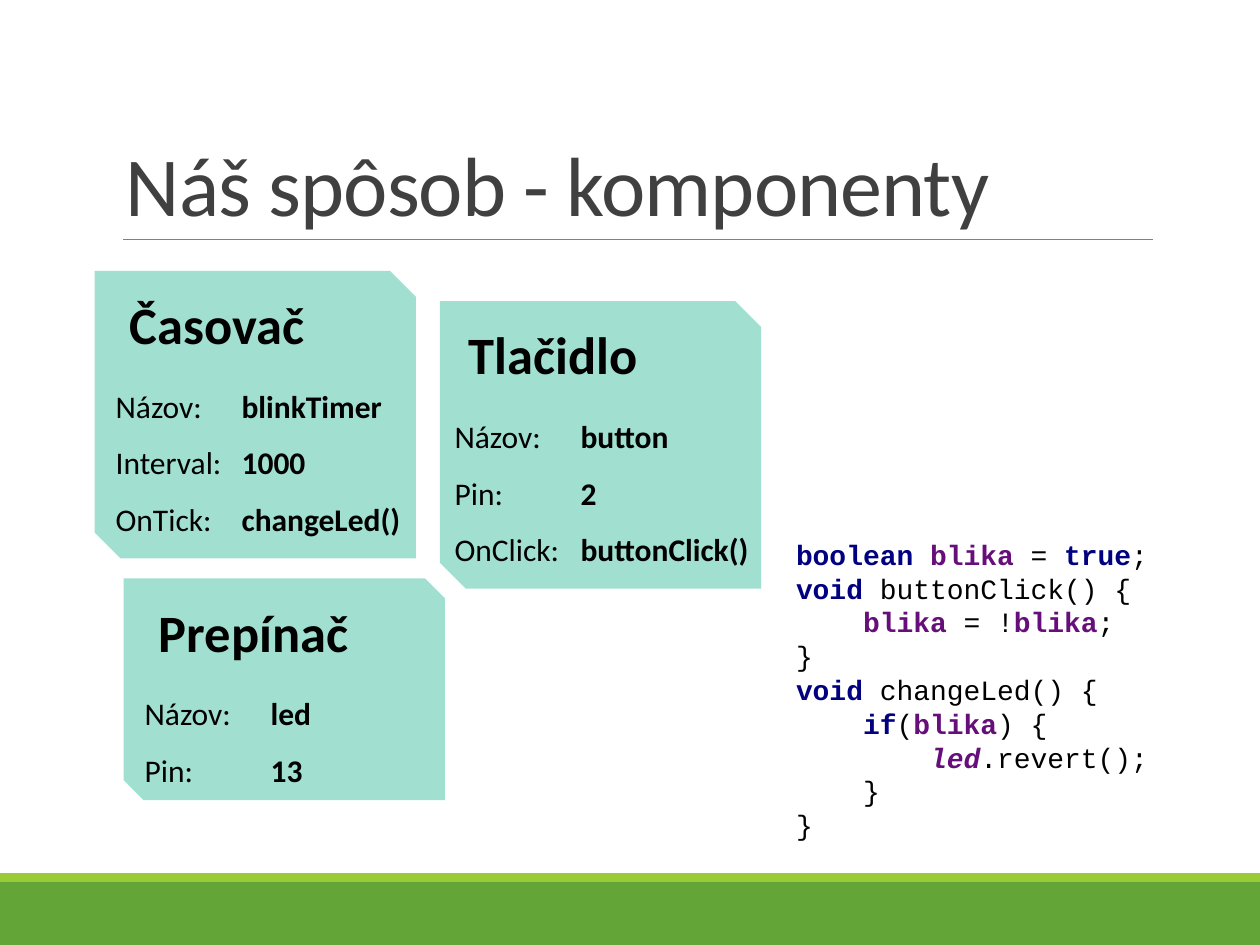
"""Build the slide about the component-based approach, with three component cards and their code."""
from lxml.etree import SubElement
from pptx import Presentation
from pptx.dml.color import RGBColor
from pptx.enum.shapes import MSO_CONNECTOR, MSO_SHAPE
from pptx.enum.text import MSO_ANCHOR, MSO_AUTO_SIZE
from pptx.oxml.ns import qn
from pptx.util import Pt

THEME = {
    "footer": "63A537", "stripe": "99CB38", "rule": "808080", "title": "404040",
    "card": "44C1A3", "white": "FFFFFF", "text": "000000", "keyword": "000080", "name": "660E7A",
    "body_font": "Calibri", "code_font": "Courier New",
    "title_size": 48, "heading_size": 30, "field_size": 18, "code_size": 16,
}


def add_block(kind, left, top, width, height, color):
    block = slide.shapes.add_shape(kind, Pt(left), Pt(top), Pt(width), Pt(height))
    block.shadow.inherit = False
    block.fill.solid()
    block.fill.fore_color.rgb = RGBColor.from_string(THEME[color])
    block.line.fill.background()
    return block


def add_run(paragraph, text, size, color="text", bold=False, font="body_font"):
    run = paragraph.add_run()
    run.text = text
    run.font.name = THEME[font]
    run.font.size = Pt(THEME[size])
    run.font.bold = bold
    run.font.color.rgb = RGBColor.from_string(THEME[color])
    return run


deck = Presentation()
deck.slide_width, deck.slide_height = Pt(720), Pt(540)
slide = deck.slides.add_slide(deck.slide_layouts[6])

add_block(MSO_SHAPE.RECTANGLE, 0, 504, 720, 36, "footer")
add_block(MSO_SHAPE.RECTANGLE, 0, 499, 720, 5, "stripe")

title_rule = slide.shapes.add_connector(MSO_CONNECTOR.STRAIGHT, Pt(70.5), Pt(136.8), Pt(658.8), Pt(136.8))
title_rule.line.color.rgb = RGBColor.from_string(THEME["rule"])
title_rule.line.width = Pt(0.5)
SubElement(title_rule._element.spPr, qn("a:effectLst"))

title = slide.shapes.add_textbox(Pt(64.8), Pt(22.3), Pt(594), Pt(114.5)).text_frame
title.word_wrap = True
title.vertical_anchor = MSO_ANCHOR.BOTTOM
title.paragraphs[0].line_spacing = 0.85
title_run = add_run(title.paragraphs[0], "Náš spôsob - komponenty", "title_size", "title")
title_run.font._element.set("spc", "-50")

components = [
    ("Časovač", 54, 154.8, 164.2, 13, 115.2, 178.6,
     [("Názov:\t", "blinkTimer"), ("Interval:\t", "1000"), ("OnTick:\t", "changeLed()")]),
    ("Prepínač", 70.6, 330.5, 126.7, 13, 123.8, 110.2,
     [("Názov:\t", "led"), ("Pin:\t\t", "13")]),
    ("Tlačidlo", 251.3, 172.1, 164.2, 9.4, 112.3, 184.3,
     [("Názov:\t", "button"), ("Pin:\t\t", "2"), ("OnClick:\t", "buttonClick()")]),
]
for name, left, top, height, indent, name_width, fields_width, fields in components:
    card = add_block(MSO_SHAPE.SNIP_2_DIAG_RECTANGLE, left, top, 183.6, height, "card")
    card.adjustments[0], card.adjustments[1] = 0, 0.09
    card_color = card.fill._xPr.find(qn("a:solidFill"))[0]
    SubElement(card_color, qn("a:alpha"), val="50000")

    heading = slide.shapes.add_textbox(Pt(left + indent), Pt(top + 8.6), Pt(name_width), Pt(43.9)).text_frame
    add_run(heading.paragraphs[0], name, "heading_size", bold=True)

    fields_height = 7.2 + 32.7 * len(fields)
    properties = slide.shapes.add_textbox(
        Pt(left + indent - 8), Pt(top + 51.8), Pt(fields_width), Pt(fields_height)).text_frame
    for index, (label, value) in enumerate(fields):
        field = properties.add_paragraph() if index else properties.paragraphs[0]
        field.line_spacing = 1.5
        add_run(field, label, "field_size")
        add_run(field, value, "field_size", bold=True)

    for frame in (heading, properties):
        frame.word_wrap = False
        frame.auto_size = MSO_AUTO_SIZE.SHAPE_TO_FIT_TEXT

code_lines = [
    [("boolean ", "keyword"), ("blika ", "name"), ("= ", "text"), ("true", "keyword"), (";", "text")],
    [("void ", "keyword"), ("buttonClick() {", "text")],
    [("    ", "text"), ("blika ", "name"), ("= !", "text"), ("blika", "name"), (";", "text")],
    [("}", "text")],
    [("void ", "keyword"), ("changeLed() {", "text")],
    [("    ", "text"), ("if", "keyword"), ("(", "text"), ("blika", "name"), (") {", "text")],
    [("        ", "text"), ("led", "name"), (".revert();", "text")],
    [("    }", "text")],
    [("}", "text")],
]
code = add_block(MSO_SHAPE.RECTANGLE, 447.8, 303.1, 229.7, 181.4, "white").text_frame
code.word_wrap = True
code.vertical_anchor = MSO_ANCHOR.MIDDLE
listing = code.paragraphs[0]
listing.alignment = 1
listing.line_spacing = Pt(19.3)
for index, tokens in enumerate(code_lines):
    if index:
        listing.add_line_break()
    for token, role in tokens:
        token_run = add_run(listing, token, "code_size", role, role != "text", "code_font")
        token_run.font.italic = token == "led"

deck.save("out.pptx")
